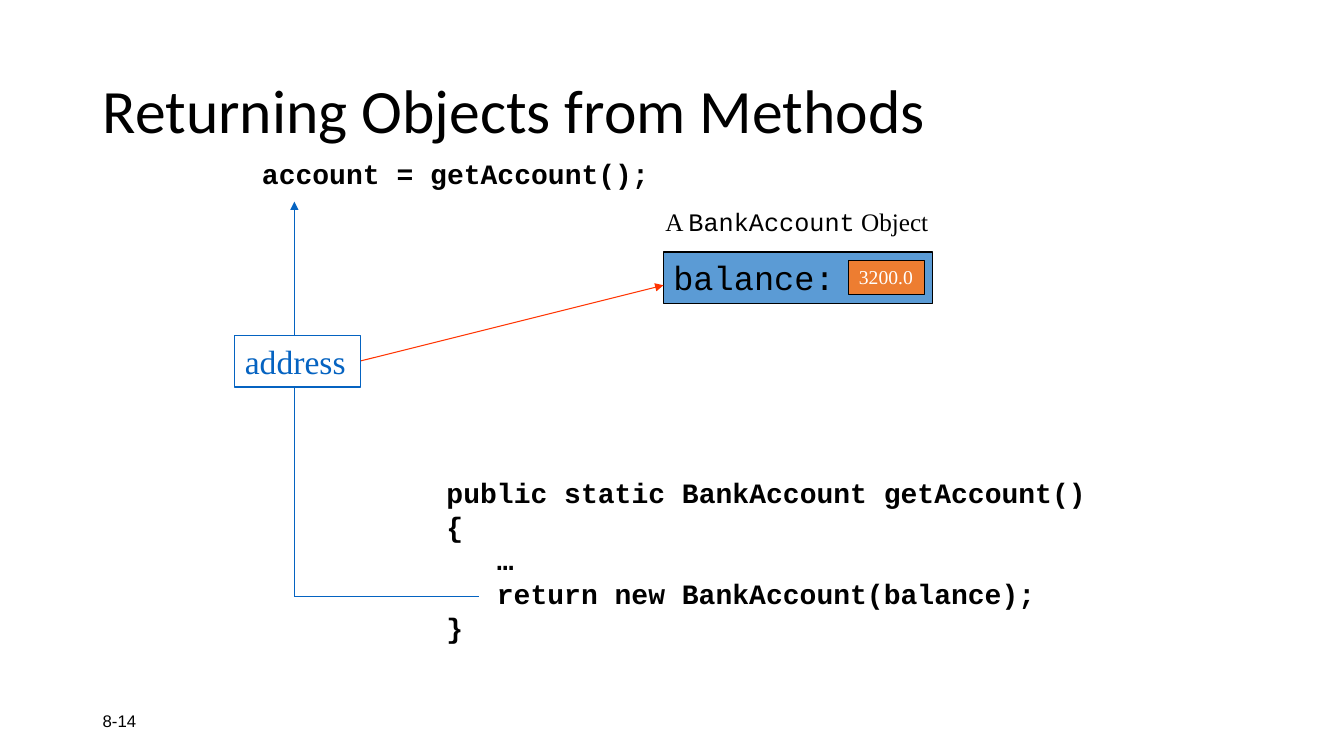
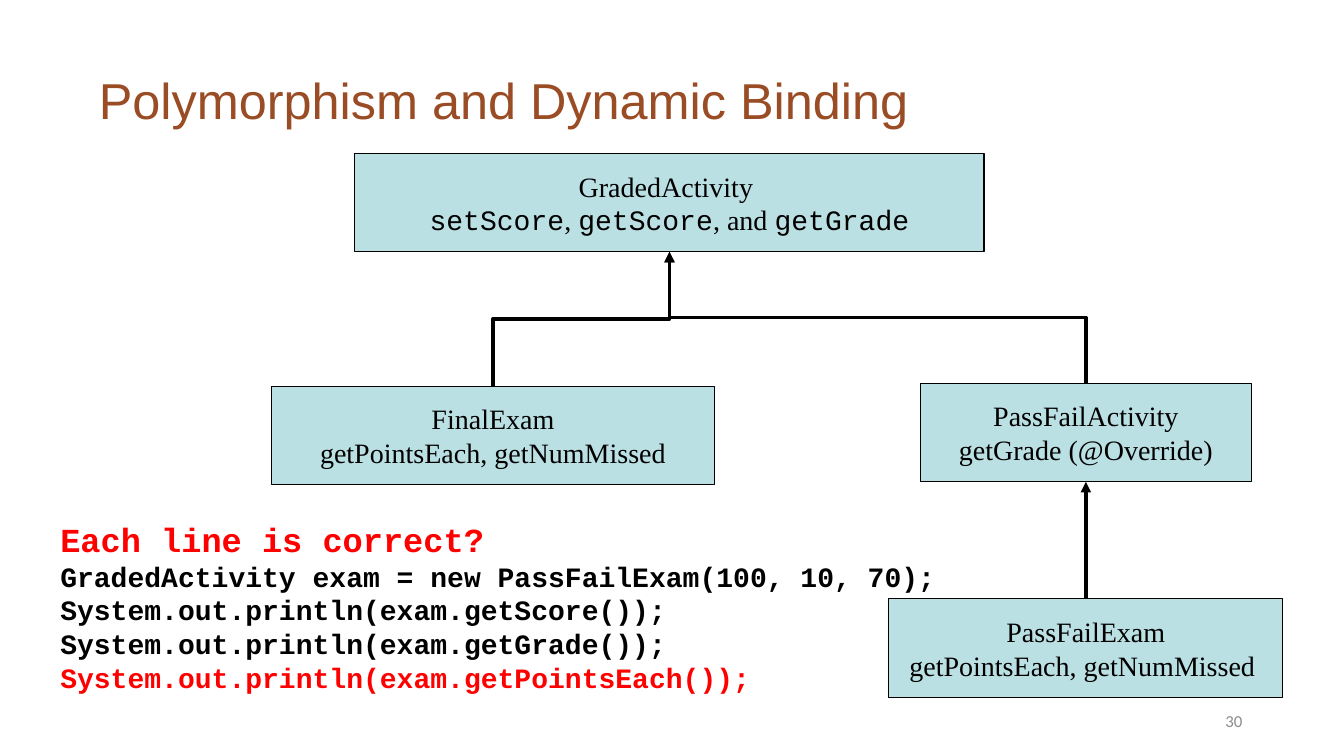
from lxml import etree
from pptx import Presentation
from pptx.dml.color import RGBColor
from pptx.enum.shapes import MSO_CONNECTOR, MSO_SHAPE
from pptx.enum.text import MSO_ANCHOR, MSO_AUTO_SIZE, PP_ALIGN
from pptx.oxml.ns import qn
from pptx.util import Inches, Pt

RECTANGLE = MSO_SHAPE.RECTANGLE
STRAIGHT, ELBOW = MSO_CONNECTOR.STRAIGHT, MSO_CONNECTOR.ELBOW
TOP, MIDDLE = MSO_ANCHOR.TOP, MSO_ANCHOR.MIDDLE
LEFT, CENTER, RIGHT = PP_ALIGN.LEFT, PP_ALIGN.CENTER, PP_ALIGN.RIGHT
NO_AUTOFIT = MSO_AUTO_SIZE.NONE

SANS, TITLE, CODE, SERIF = "Arial", "Calibri", "Courier New", "Times New Roman"
COLORS = {
    "text": "000000",
    "white": "FFFFFF",
    "number": "8C8C8C",
    "brown": "9A4C25",
    "red": "FF0000",
    "reference": "FF3300",
    "address": "0563C1",
    "object": "5B9BD5",
    "value": "ED7D31",
    "class": "BBE0E3",
}


def rgb(name):
    return RGBColor.from_string(COLORS[name])


# Text
def add_run(paragraph, text, font, size, color="text", bold=False):
    run = paragraph.add_run()
    run.text = text
    run.font.name = font
    run.font.size = Pt(size)
    run.font.bold = bold
    run.font.color.rgb = rgb(color)


def prepare_frame(shape, anchor=TOP, wrap=True):
    frame = shape.text_frame
    frame.auto_size = NO_AUTOFIT
    frame.word_wrap = wrap
    frame.vertical_anchor = anchor
    return frame


def next_paragraph(frame, index, align=LEFT, indent=0):
    paragraph = frame.add_paragraph() if index else frame.paragraphs[0]
    paragraph.alignment = align
    if indent:
        properties = paragraph._p.get_or_add_pPr()
        properties.set("marL", str(Inches(indent)))
        properties.set("indent", "0")
    return paragraph


def add_text_box(slide, box, anchor=TOP, wrap=True):
    shape = slide.shapes.add_textbox(*map(Inches, box))
    return prepare_frame(shape, anchor, wrap)


def add_code(slide, box, lines):
    """Each line is (text, indent, size, color)."""
    frame = add_text_box(slide, box)
    for index, (text, indent, size, color) in enumerate(lines):
        paragraph = next_paragraph(frame, index, indent=indent)
        add_run(paragraph, text, CODE, size, color, bold=True)


def add_rectangle(slide, box, fill=None, line="text", anchor=TOP, wrap=True):
    shape = slide.shapes.add_shape(RECTANGLE, *map(Inches, box))
    shape.shadow.inherit = False
    if fill:
        shape.fill.solid()
        shape.fill.fore_color.rgb = rgb(fill)
    else:
        shape.fill.background()
    shape.line.color.rgb = rgb(line)
    shape.line.width = Pt(0.75)
    return prepare_frame(shape, anchor, wrap)


# Lines
def add_line(slide, start, end, color, width, arrow=True, kind=STRAIGHT):
    connector = slide.shapes.add_connector(kind, *map(Inches, (*start, *end)))
    connector.line.color.rgb = rgb(color)
    connector.line.width = Pt(width)
    if arrow:
        line = connector.line._get_or_add_ln()
        etree.SubElement(line, qn("a:tailEnd"), type="triangle")
    etree.SubElement(connector._element.spPr, qn("a:effectLst"))
    return connector


def add_upward_elbow(slide, start, end, color, width):
    """Leave start vertically: a horizontal elbow turned about its centre."""
    center_x, center_y = (start[0] + end[0]) / 2, (start[1] + end[1]) / 2
    half_rise, half_run = (start[1] - end[1]) / 2, (end[0] - start[0]) / 2
    connector = add_line(
        slide,
        (center_x - half_rise, center_y - half_run),
        (center_x + half_rise, center_y + half_run),
        color, width, kind=ELBOW,
    )
    connector._element.spPr.find(qn("a:xfrm")).set("rot", str(270 * 60000))


# Parts every slide has
def add_title_slide(presentation, box, title, font, size, color, anchor):
    slide = presentation.slides.add_slide(presentation.slide_layouts[5])
    shape = slide.shapes.title
    shape.left, shape.top, shape.width, shape.height = map(Inches, box)
    paragraph = next_paragraph(prepare_frame(shape, anchor), 0)
    paragraph.line_spacing = 0.9 if anchor == MIDDLE else 1.0
    add_run(paragraph, title, font, size, color)
    return slide


def add_slide_number(slide, left, text, font, color, align):
    frame = add_text_box(slide, (left, 6.95, 3, 0.4), MIDDLE)
    add_run(next_paragraph(frame, 0, align), text, font, 12, color)


# Returned object
def add_account_object(slide, left, top):
    caption = add_text_box(slide, (left - 0.08, top - 0.5, 2.82, 0.4), wrap=False)
    paragraph = next_paragraph(caption, 0)
    for text, font in (("A ", SERIF), ("BankAccount", CODE), (" Object", SERIF)):
        add_run(paragraph, text, font, 18)

    field = add_rectangle(slide, (left, top, 2.67, 0.51), "object")
    add_run(next_paragraph(field, 0), "balance:", CODE, 24)

    value = add_rectangle(
        slide, (left + 1.84, top + 0.08, 0.75, 0.34), "value", wrap=False)
    add_run(next_paragraph(value, 0), "3200.0", SERIF, 14, "white")


def add_address_path(slide, left, top, object_point):
    """Address box, with the path from the return statement to the call."""
    width, height = 1.25, 0.51
    frame = add_rectangle(slide, (left, top, width, height), line="address")
    add_run(next_paragraph(frame, 0), "address", SERIF, 24, "address")

    path_x, corner_y = left + 0.59, top + 2.59
    add_line(slide, (path_x, top), (path_x, top - 1.33), "address", 0.75)
    add_line(slide, (path_x + 1.83, corner_y), (path_x, corner_y),
             "address", 0.75, arrow=False)
    add_line(slide, (path_x, corner_y), (path_x, top + height),
             "address", 0.75, arrow=False)
    add_line(slide, (left + width, top + 0.25), object_point, "reference", 0.75)


def build_returning_objects(presentation):
    slide = add_title_slide(
        presentation, (0.92, 0.4, 11.5, 1.45),
        "Returning Objects from Methods", TITLE, 44, "text", MIDDLE)
    add_slide_number(slide, 0.92, "8-14", SANS, "text", LEFT)
    add_code(slide, (2.5, 1.5, 4.25, 0.43),
             [("account = getAccount();", 0, 20, "text")])
    method_lines = (
        ("public static BankAccount getAccount()", 0),
        ("{", 0),
        ("…", 0.5),
        ("return new BankAccount(balance);", 0.5),
        ("}", 0),
    )
    add_code(slide, (4.33, 4.67, 8.08, 1.77),
             [(text, indent, 20, "text") for text, indent in method_lines])
    add_account_object(slide, 6.58, 2.5)
    add_address_path(slide, 2.33, 3.33, (6.58, 2.83))


# Class hierarchy
def add_class_hierarchy(slide, left, top):
    height = 0.98
    # Name: centre x, top and width, then the runs of the method line
    classes = {
        "GradedActivity ": (3.94, 0, 6.24, [
            ("setScore", CODE), (", ", SERIF), ("getScore", CODE),
            (", and ", SERIF), ("getGrade", CODE)]),
        "FinalExam": (2.19, 2.31, 4.39, [("getPointsEach, getNumMissed", SERIF)]),
        "PassFailActivity": (8.07, 2.28, 3.29, [("getGrade (@Override)", SERIF)]),
        "PassFailExam": (8.07, 4.42, 3.91, [("getPointsEach, getNumMissed ", SERIF)]),
    }
    tops, bottoms = [], []
    for name, (center, offset, width, methods) in classes.items():
        x, y = left + center, top + offset
        frame = add_rectangle(slide, (x - width / 2, y, width, height),
                              "class", anchor=MIDDLE, wrap=False)
        for index, runs in enumerate(([(name, SERIF)], methods)):
            paragraph = next_paragraph(frame, index, CENTER)
            for text, font in runs:
                add_run(paragraph, text, font, 20)
        tops.append((x, y))
        bottoms.append((x, y + height))

    # Inheritance arrows
    for child_top in tops[1:3]:
        add_upward_elbow(slide, child_top, bottoms[0], "text", 2.5)
    add_line(slide, tops[3], bottoms[2], "text", 2.5)


def build_dynamic_binding(presentation):
    slide = add_title_slide(
        presentation, (0.88, 0.64, 11.24, 0.71),
        "Polymorphism and Dynamic Binding", SANS, 36, "brown", TOP)
    add_slide_number(slide, 9.42, "30", TITLE, "number", RIGHT)
    add_class_hierarchy(slide, 2.7, 1.52)
    add_code(slide, (0, 5.1, 9.44, 1.85), [
        ("Each line is correct?", 0.5, 24, "red"),
        ("GradedActivity exam = new PassFailExam(100, 10, 70);", 0.5, 20, "text"),
        ("System.out.println(exam.getScore()); "
         "System.out.println(exam.getGrade());", 0.5, 20, "text"),
        ("System.out.println(exam.getPointsEach());", 0.5, 20, "red"),
    ])


def main():
    presentation = Presentation()
    presentation.slide_width = Inches(13.33)
    presentation.slide_height = Inches(7.5)
    build_returning_objects(presentation)
    build_dynamic_binding(presentation)
    presentation.save("out.pptx")


if __name__ == "__main__":
    main()
